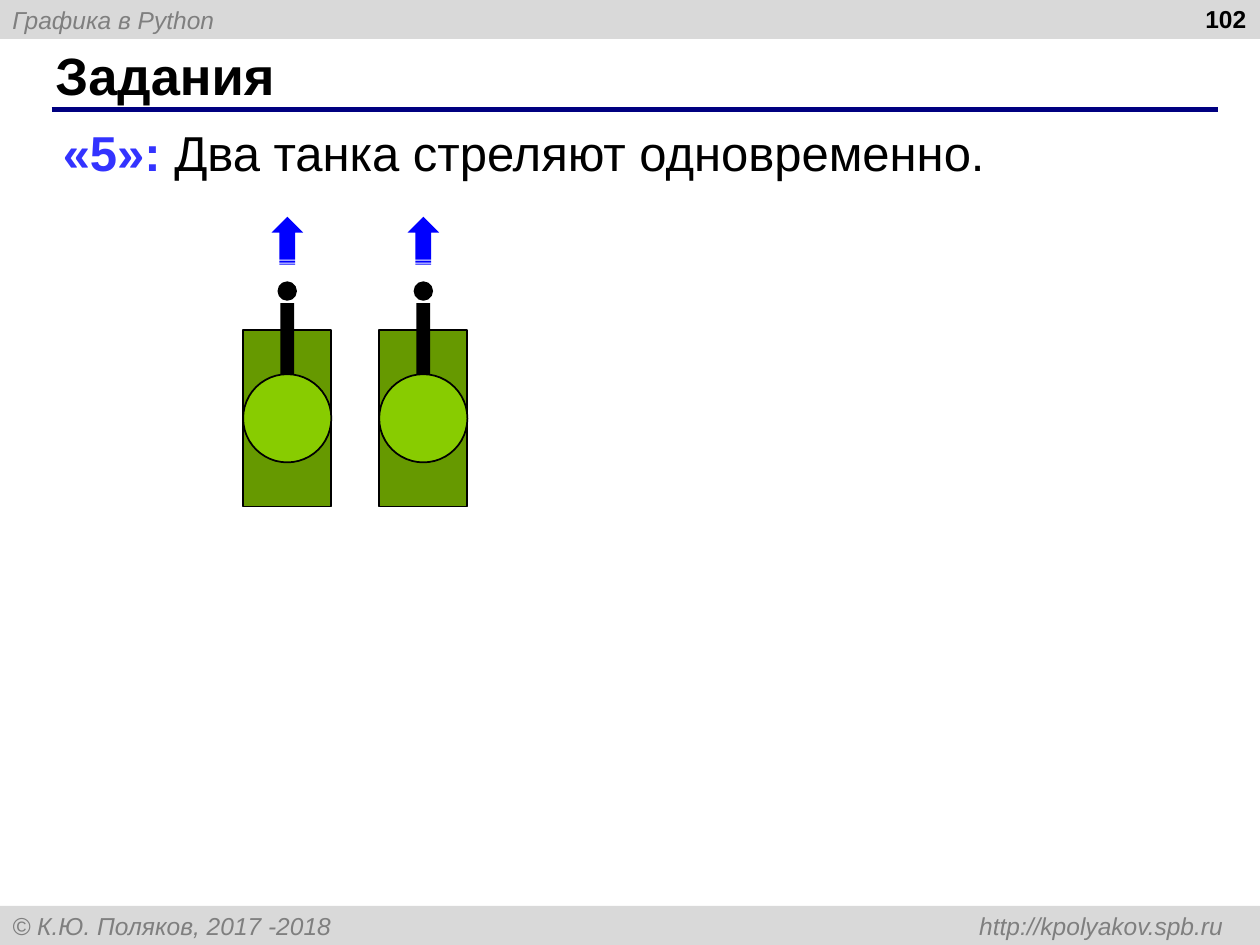
from lxml.etree import SubElement
from pptx import Presentation
from pptx.dml.color import RGBColor
from pptx.enum.shapes import MSO_CONNECTOR, MSO_SHAPE
from pptx.enum.text import MSO_ANCHOR, PP_ALIGN
from pptx.oxml.ns import qn
from pptx.util import Inches, Pt

WIDTH, HEIGHT = 10, 7.5
BAND_HEIGHT = 0.31
COURSE = "Графика в Python"
CREDIT = "© К.Ю. Поляков, 2017 -2018\thttp://kpolyakov.spb.ru"
CREDIT_TAB = 9.61
PAGE = "102"
TITLE = "Задания"
TASK = [("«5»: ", "3333FF", True),
        ("Два танка стреляют одновременно.", "000000", False)]
BANDS = [(COURSE, 0), (CREDIT, HEIGHT - BAND_HEIGHT)]

TANK_CENTERS = [2.28 + 1.08 * column for column in range(2)]
TANK_PARTS = [
    (MSO_SHAPE.RECTANGLE, 3.32, 0.7, 1.4, "669900", True, 0),
    (MSO_SHAPE.RECTANGLE, 2.85, 0.11, 0.89, "000000", False, 0),
    (MSO_SHAPE.OVAL, 3.32, 0.7, 0.7, "88CC00", True, 0),
    (MSO_SHAPE.STRIPED_RIGHT_ARROW, 1.91, 0.38, 0.25, "0000FF", False, 270),
    (MSO_SHAPE.OVAL, 2.31, 0.14, 0.14, "000000", True, 0),
]


def color(value):
    return RGBColor.from_string(value)


def place(*lengths):
    return [Inches(length) for length in lengths]


def style(run, size, value, bold=False, italic=False):
    font = run.font
    font.name, font.size, font.bold, font.italic = "Arial", Pt(size), bold, italic
    font.color.rgb = color(value)


def add_part(parent, preset, left, top, width, height, fill, outlined=False):
    part = parent.add_shape(preset, *place(left, top, width, height))
    part.shadow.inherit = False
    part.fill.solid()
    part.fill.fore_color.rgb = color(fill)
    if outlined:
        part.line.color.rgb = color("000000")
        part.line.width = Pt(1)
    else:
        part.line.fill.background()
    return part


def add_band(shapes, words, top):
    band = add_part(shapes, MSO_SHAPE.RECTANGLE, 0, top, WIDTH, BAND_HEIGHT, "D9D9D9")
    band.text_frame.vertical_anchor = MSO_ANCHOR.MIDDLE
    paragraph = band.text_frame.paragraphs[0]
    paragraph.text = words
    paragraph.alignment = PP_ALIGN.LEFT
    if "\t" in words:
        tabs = SubElement(paragraph._p.get_or_add_pPr(), qn("a:tabLst"))
        SubElement(tabs, qn("a:tab"), pos=str(Inches(CREDIT_TAB)), algn="r")
    for run in paragraph.runs:
        style(run, 14, "7F7F7F", italic=True)


def add_tank(shapes, center):
    tank = shapes.add_group_shape()
    for preset, middle, width, height, fill, outlined, rotation in TANK_PARTS:
        part = add_part(tank.shapes, preset, center - width / 2,
                        middle - height / 2, width, height, fill, outlined)
        part.rotation = rotation


def main():
    deck = Presentation()
    deck.slide_width, deck.slide_height = place(WIDTH, HEIGHT)
    slide = deck.slides.add_slide(deck.slide_layouts[5])
    shapes = slide.shapes

    for words, top in BANDS:
        add_band(shapes, words, top)

    rule = shapes.add_connector(MSO_CONNECTOR.STRAIGHT, *place(0.41, 0.87, 9.67, 0.87))
    rule.line.color.rgb = color("000080")
    rule.line.width = Pt(3)
    SubElement(rule._element.spPr, qn("a:effectLst"))

    title = shapes.title
    title.left, title.top, title.width, title.height = place(0.34, 0.33, 9.16, 0.52)
    title.text_frame.text = TITLE
    title.text_frame.vertical_anchor = MSO_ANCHOR.MIDDLE
    heading = title.text_frame.paragraphs[0]
    heading.alignment = PP_ALIGN.LEFT
    style(heading.runs[0], 30, "000000", bold=True)

    page = shapes.add_textbox(*place(7.66, -0.02, 2.33, 0.52))
    page.text_frame.word_wrap = True
    page.text_frame.text = PAGE
    number = page.text_frame.paragraphs[0]
    number.alignment = PP_ALIGN.RIGHT
    style(number.runs[0], 14, "000000", bold=True)

    task = shapes.add_textbox(*place(0.4, 0.92, 9.2, 1.28))
    task.text_frame.word_wrap = True
    statement = task.text_frame.paragraphs[0]
    indent = Inches(0.79)
    properties = statement._p.get_or_add_pPr()
    properties.set("marL", str(indent))
    properties.set("indent", str(-indent))
    for words, value, bold in TASK:
        run = statement.add_run()
        run.text = words
        style(run, 28, value, bold)

    for center in TANK_CENTERS:
        add_tank(shapes, center)

    deck.save("out.pptx")


if __name__ == "__main__":
    main()
